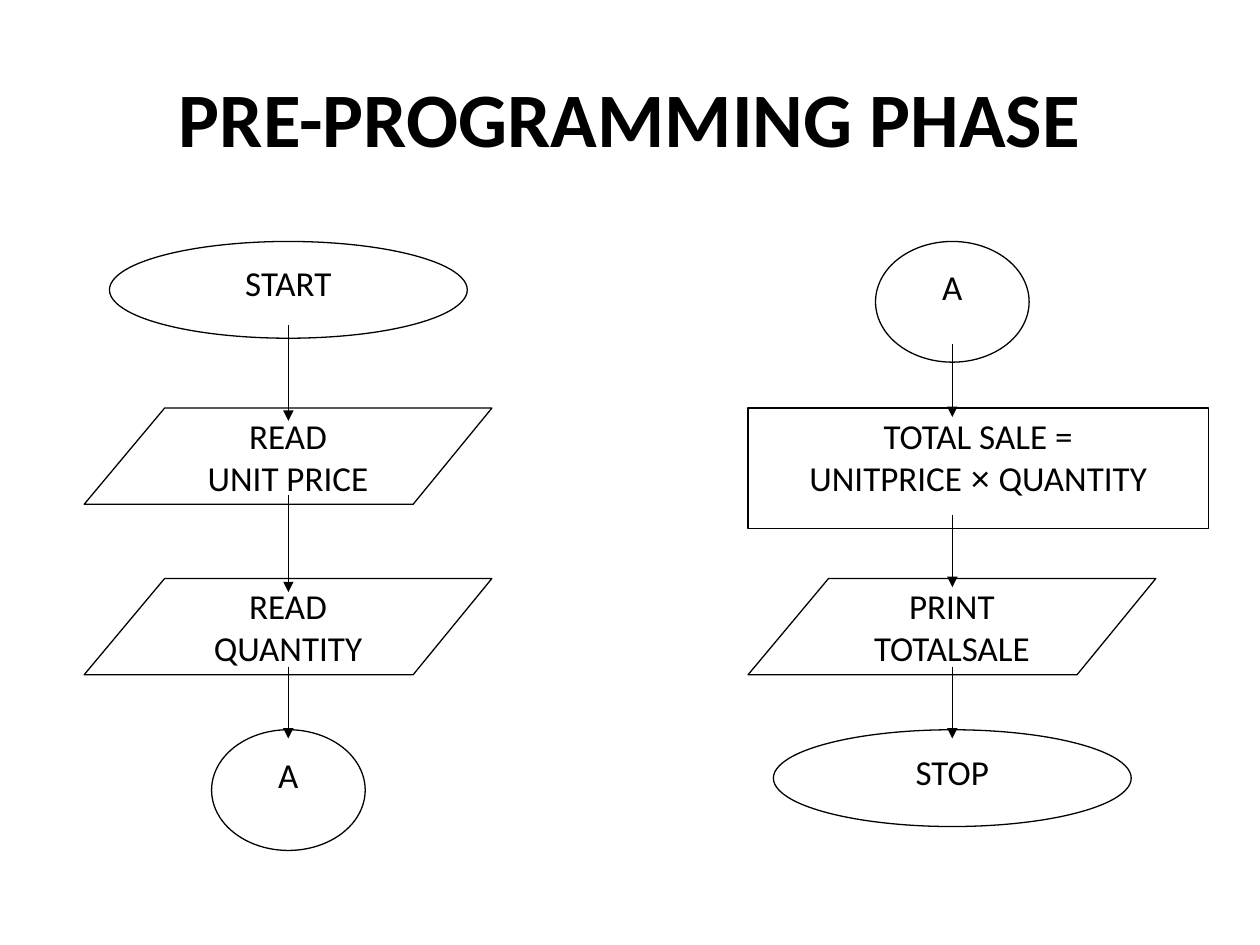
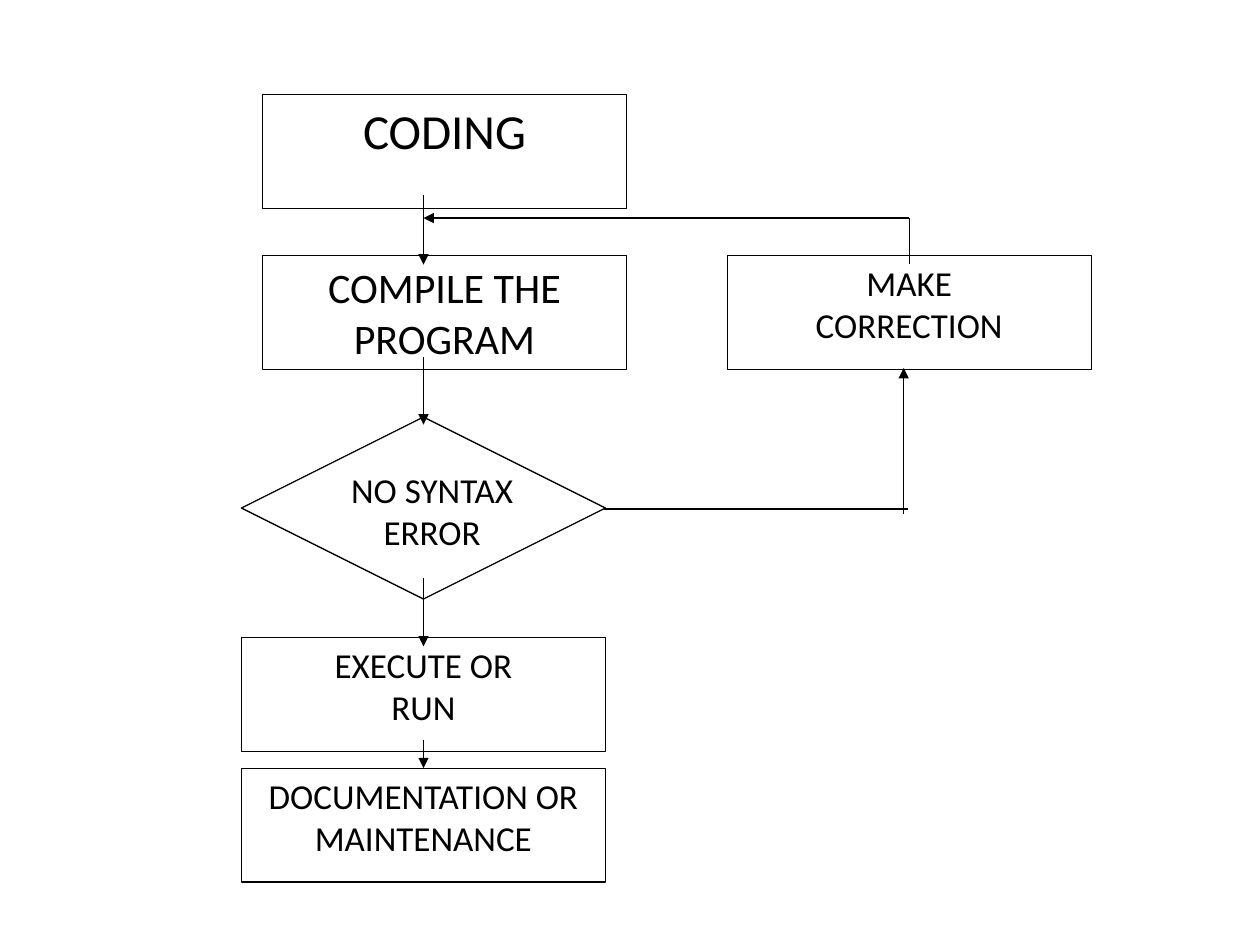
"""Builds two flowchart slides: the pre-programming phase and the coding phase."""
import pptx
import pptx.dml.color
import pptx.enum.shapes
import pptx.enum.text
import pptx.oxml.ns
import pptx.util
from lxml import etree

Pt = pptx.util.Pt
SHAPES = pptx.enum.shapes.MSO_SHAPE
ANCHOR = pptx.enum.text.MSO_ANCHOR
INK = pptx.dml.color.RGBColor(0x00, 0x00, 0x00)
PAPER = pptx.dml.color.RGBColor(0xFF, 0xFF, 0xFF)
BODY_FONT, SYMBOL_FONT = "Calibri", "Arial"
LINE_WIDTH = 0.75
INSETS = (1.44, 3.6, 1.44, 3.6)
STEP_HEIGHT = 55.3
SLANT_WIDTH, SLANT = 233.4, 45.7
BOX_WIDTH, BOX_HEIGHT = 208, 65
DIAMOND_HEIGHT = 104


def write(frame, lines, size=20, insets=INSETS, anchor=ANCHOR.TOP, bold=False):
    """Write centred lines, each a tuple of runs, into a text frame."""
    frame.word_wrap = True
    frame.vertical_anchor = anchor
    (frame.margin_left, frame.margin_top,
     frame.margin_right, frame.margin_bottom) = map(Pt, insets)
    for number, runs in enumerate(lines):
        paragraph = frame.add_paragraph() if number else frame.paragraphs[0]
        paragraph.alignment = pptx.enum.text.PP_ALIGN.CENTER
        for text in runs:
            run = paragraph.add_run()
            run.text = text
            run.font.name = SYMBOL_FONT if text == "×" else BODY_FONT
            run.font.size = Pt(size)
            run.font.bold = bold
            run.font.color.rgb = INK


def outline(step, lines, **text_style):
    """Give a flowchart step its white fill, thin outline and text."""
    step.shadow.inherit = False
    step.fill.solid()
    step.fill.fore_color.rgb = PAPER
    step.line.color.rgb = INK
    step.line.width = Pt(LINE_WIDTH)
    write(step.text_frame, lines, **text_style)
    return step


def preset_step(slide, preset, left, top, width, height, lines, **text_style):
    """Add a step drawn with a preset shape."""
    step = slide.shapes.add_shape(preset, Pt(left), Pt(top), Pt(width), Pt(height))
    return outline(step, lines, **text_style)


def polygon_step(slide, left, top, corners, lines, **text_style):
    """Add a step drawn through corners given relative to its box."""
    builder = slide.shapes.build_freeform(*corners[0], scale=Pt(1))
    builder.add_line_segments(corners[1:], close=True)
    return outline(builder.convert_to_shape(Pt(left), Pt(top)), lines, **text_style)


def flow_line(slide, start, end, arrow=True):
    """Add a straight flow line, with an arrowhead at its end if wanted."""
    line = slide.shapes.add_connector(
        pptx.enum.shapes.MSO_CONNECTOR.STRAIGHT, *map(Pt, start + end))
    line.line.color.rgb = INK
    line.line.width = Pt(LINE_WIDTH)
    qn = pptx.oxml.ns.qn
    if arrow:
        etree.SubElement(line.line._get_or_add_ln(), qn("a:tailEnd"), type="triangle")
    etree.SubElement(line._element.spPr, qn("a:effectLst"))
    return line


def title(slide, text, left=36, top=21.6, width=648, height=90):
    """Add the slide title."""
    heading = slide.shapes.add_textbox(Pt(left), Pt(top), Pt(width), Pt(height))
    write(heading.text_frame, [(text,)], size=44, anchor=ANCHOR.MIDDLE, bold=True)


def flow_column(slide, left, top, steps, arrows):
    """Draw a column of steps and arrows at offsets below its top."""
    centre = left + SLANT_WIDTH / 2
    slant_corners = [(SLANT, 0), (SLANT_WIDTH, 0),
                     (SLANT_WIDTH - SLANT, STEP_HEIGHT), (0, STEP_HEIGHT)]
    slant_insets = (SLANT + INSETS[0], INSETS[1], SLANT + INSETS[2], INSETS[3])
    for kind, offset, lines in steps:
        y = top + offset
        if kind == "terminal":
            preset_step(slide, SHAPES.OVAL, centre - 102.25, y, 204.5, STEP_HEIGHT, lines)
        elif kind == "junction":
            preset_step(slide, SHAPES.OVAL, centre - 43.9, y, 87.8, 69, lines)
        elif kind == "process":
            preset_step(slide, SHAPES.RECTANGLE, left, y, 263, 69, lines)
        else:
            polygon_step(slide, left, y, slant_corners, lines, insets=slant_insets)
    for start, end in arrows:
        flow_line(slide, (centre, top + start), (centre, top + end))


def coding_flow(slide, left, top):
    """Draw the main path from coding down to maintenance."""
    boxes = [
        (0, 385, 20, [("DOCUMENTATION OR MAINTENANCE",)]),
        (0, 310.3, 20, [("EXECUTE OR",), ("RUN",)]),
        (12, 92, 24, [("COMPILE THE",), ("PROGRAM",)]),
        (12, 0, 28, [("CODING",)]),
    ]
    documentation, *_ = [
        preset_step(slide, SHAPES.RECTANGLE, left + x, top + y,
                    BOX_WIDTH, BOX_HEIGHT, lines, size=size)
        for x, y, size, lines in boxes]
    centre = BOX_WIDTH / 2
    middle = DIAMOND_HEIGHT / 2
    polygon_step(slide, left, top + 184.3,
                 [(0, middle), (centre, 0), (BOX_WIDTH, middle), (centre, DIAMOND_HEIGHT)],
                 [("NO SYNTAX",), ("ERROR",)], insets=(37.4, 29.5, 27.4, 3.6))
    for start, end in [(57.6, 97.2), (149.8, 188.6), (276.5, 315.4), (368.6, 385)]:
        arrow = flow_line(slide, (left + centre, top + start), (left + centre, top + end))
    arrow.end_connect(documentation, 0)


def correction_loop(slide, left, top, diamond_right, flow_centre):
    """Draw the correction box and the lines that lead back to compiling."""
    preset_step(slide, SHAPES.RECTANGLE, left, top, BOX_WIDTH, BOX_HEIGHT,
                [("MAKE",), ("CORRECTION",)])
    exit_x, entry_x = left + BOX_WIDTH / 2, left + 100.8
    error_y, return_y = top + 144.9, top - 21.4
    flow_line(slide, (diamond_right, error_y), (left + 103, error_y), arrow=False)
    flow_line(slide, (entry_x, top + 147.8), (entry_x, top + 64.3))
    flow_line(slide, (exit_x, return_y), (flow_centre, return_y))
    flow_line(slide, (exit_x, return_y), (exit_x, top + 5), arrow=False)


def main():
    """Build both slides and save them."""
    deck = pptx.Presentation()
    deck.slide_width, deck.slide_height = Pt(720), Pt(540)
    blank = deck.slide_layouts[6]

    phase = deck.slides.add_slide(blank)
    title(phase, "PRE-PROGRAMMING PHASE")
    flow_column(phase, 48.1, 138, [
        ("terminal", 0, [("START",)]),
        ("data", 95.2, [("READ",), ("UNIT PRICE",)]),
        ("data", 192.6, [("READ",), ("QUANTITY",)]),
        ("junction", 279, [("A",)]),
    ], [(47.8, 102.5), (145, 200.4), (243, 284)])
    flow_column(phase, 427.5, 138, [
        ("junction", 0, [("A",)]),
        ("process", 95.2, [("TOTAL SALE =",), ("UNITPRICE ", "×", " QUANTITY")]),
        ("data", 192.6, [("PRINT",), ("TOTALSALE",)]),
        ("terminal", 279, [("STOP",)]),
    ], [(58.6, 100.3), (156.5, 197.5), (243, 284)])

    coding = deck.slides.add_slide(blank)
    coding_flow(coding, 138, 54)
    correction_loop(coding, 415.6, 146, 345, 242)
    deck.save("out.pptx")


if __name__ == "__main__":
    main()
